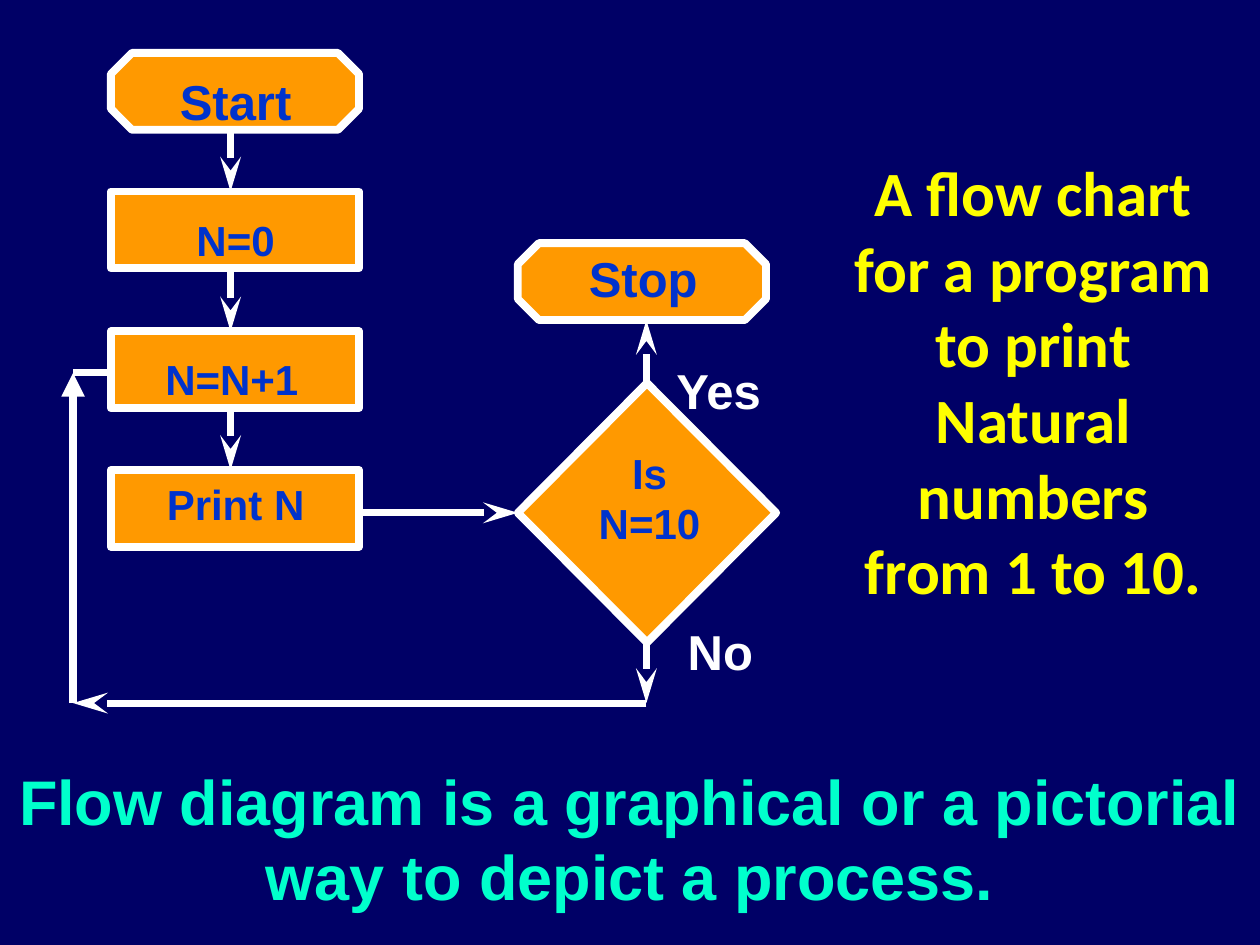
import dataclasses

import pptx
import pptx.dml.color
import pptx.enum.shapes
import pptx.enum.text
import pptx.oxml.ns
import pptx.util
from lxml import etree

SHAPE = pptx.enum.shapes.MSO_SHAPE
ALIGN = pptx.enum.text.PP_ALIGN
FIT = pptx.enum.text.MSO_AUTO_SIZE
COLUMNS, ROWS = 100, 75
UNIT = 0.1  # inches per grid column and row


@dataclasses.dataclass
class Theme:
    background: str = "000066"
    node: str = "FF9900"
    outline: str = "FFFFFF"
    node_text: str = "0033CC"
    heading: str = "FFFF00"
    statement: str = "00FFCC"
    font: str = "Arial"
    heading_font: str = "Calibri"
    large: int = 36
    medium: int = 28
    small: int = 24
    node_line: float = 4.5
    arrow_line: float = 4


THEME = Theme()


@dataclasses.dataclass
class Box:
    """An area of the slide, in grid columns and rows."""
    left: float
    top: float
    width: float
    height: float

    def inner(self, left, top, width, height):
        return Box(self.left + left, self.top + top, width, height)

    def emu(self):
        return [grid(v) for v in (self.left, self.top, self.width, self.height)]


def grid(units):
    return pptx.util.Inches(round(units * UNIT, 2))


def rgb(value):
    return pptx.dml.color.RGBColor.from_string(value)


def write(holder, text, size, color, font=THEME.font, align=ALIGN.CENTER, wrap=True):
    frame = holder.text_frame
    frame.word_wrap = wrap
    frame.auto_size = FIT.NONE
    frame.vertical_anchor = pptx.enum.text.MSO_ANCHOR.TOP
    frame.text = text
    paragraph = frame.paragraphs[0]
    paragraph.alignment = align
    paragraph.font.size = pptx.util.Pt(size)
    paragraph.font.name = font
    paragraph.font.bold = True
    paragraph.font.color.rgb = rgb(color)


def add_label(slide, box, text, size, color, **layout):
    write(slide.shapes.add_textbox(*box.emu()), text, size, color, **layout)


def add_node(slide, box, preset):
    node = slide.shapes.add_shape(preset, *box.emu())
    node.shadow.inherit = False
    if preset == SHAPE.OCTAGON:
        node.adjustments[0] = 0.275
    node.fill.solid()
    node.fill.fore_color.rgb = rgb(THEME.node)
    node.line.color.rgb = rgb(THEME.outline)
    node.line.width = pptx.util.Pt(THEME.node_line)


def add_arrow(slide, box, start, end, head="stealth", length="lg", width=THEME.arrow_line):
    """Draw a line between two points of the box, with its head at the end."""
    points = [grid(v) for x, y in (start, end) for v in (box.left + x, box.top + y)]
    arrow = slide.shapes.add_connector(pptx.enum.shapes.MSO_CONNECTOR.STRAIGHT, *points)
    arrow.line.color.rgb = rgb(THEME.outline)
    arrow.line.width = pptx.util.Pt(width)
    if head:
        etree.SubElement(arrow.line._get_or_add_ln(), pptx.oxml.ns.qn("a:tailEnd"),
                         type=head, w="med", len=length)
    etree.SubElement(arrow._element.spPr, pptx.oxml.ns.qn("a:effectLst"))


def add_flowchart(slide, box):
    node_left, node_width, node_height, pitch = 3, 19.7, 6.1, 11.03
    stop_left, stop_top = 35.3, 15.1
    diamond_top, diamond_width, diamond_height = 26.2, 20.5, 20.6
    spine, loop_top, loop_bottom = 12.5, 25.4, box.height
    decision = stop_left + diamond_width / 2
    decision_middle = diamond_top + diamond_height / 2

    # Steps down the left: preset, text offset in the node, text width, size
    steps = [
        ("Start", SHAPE.OCTAGON, 0.7, 1, 18.4, THEME.medium),
        ("N=0", SHAPE.RECTANGLE, 0.7, 1.3, 18.4, THEME.small),
        ("N=N+1", SHAPE.RECTANGLE, 0.4, 1.3, 18.4, THEME.small),
        ("Print N", SHAPE.RECTANGLE, 0, 0.2, 19.8, THEME.small),
    ]
    for row, (text, preset, dx, dy, width, size) in enumerate(steps):
        node = box.inner(node_left, row * pitch, node_width, node_height)
        add_node(slide, node, preset)
        add_label(slide, node.inner(dx, dy, width, 5.4), text, size, THEME.node_text)
        if row:
            add_arrow(slide, box, (spine, (row - 1) * pitch + node_height),
                      (spine, row * pitch))

    # Decision and end
    diamond = box.inner(stop_left, diamond_top, diamond_width, diamond_height)
    add_node(slide, diamond, SHAPE.DIAMOND)
    add_label(slide, diamond.inner(4.7, 4.6, 11.5, 9), "Is N=10",
              THEME.small, THEME.node_text)
    stop = box.inner(stop_left, stop_top, node_width, node_height)
    add_node(slide, stop, SHAPE.OCTAGON)
    add_label(slide, stop.inner(1.5, -0.1, 16.9, 5.7), "Stop",
              THEME.medium, THEME.node_text)

    # Branches
    add_arrow(slide, box, (node_left + node_width, decision_middle),
              (stop_left, decision_middle))
    add_arrow(slide, box, (decision, diamond_top), (decision, stop_top + node_height))
    add_arrow(slide, box, (decision, diamond_top + diamond_height),
              (decision, loop_bottom))
    for text, left, top, width in (("Yes", 46.9, 23.9, 8.9), ("No", 47.8, 44.6, 7.2)):
        add_label(slide, box.inner(left, top, width, 5.7), text, THEME.medium,
                  THEME.outline, align=ALIGN.LEFT, wrap=False)

    # Loop back to the counter
    add_arrow(slide, box, (decision, loop_bottom), (0, loop_bottom))
    add_arrow(slide, box, (0, loop_bottom), (0, loop_top), "triangle", "med",
              THEME.node_line)
    add_arrow(slide, box, (0, loop_top), (node_left, loop_top), head=None)


def add_heading(slide, box):
    heading = slide.shapes.title
    heading.left, heading.top, heading.width, heading.height = box.emu()
    write(heading, "A flow chart for a program to print Natural numbers from 1 to 10.",
          THEME.large, THEME.heading, THEME.heading_font)


def add_statement(slide, box):
    add_label(slide, box,
              "Flow diagram is a graphical or a pictorial way to depict a process.",
              THEME.large, THEME.statement)


def main():
    deck = pptx.Presentation()
    deck.slide_width, deck.slide_height = grid(COLUMNS), grid(ROWS)
    slide = deck.slides.add_slide(deck.slide_layouts[5])  # title only
    slide.background.fill.solid()
    slide.background.fill.fore_color.rgb = rgb(THEME.background)
    add_statement(slide, Box(0, 60, COLUMNS, 13))
    add_flowchart(slide, Box(5.8, 4.2, 50.3, 51.6))
    add_heading(slide, Box(66.7, 11.7, 30.6, 49))
    deck.save("out.pptx")


if __name__ == "__main__":
    main()
